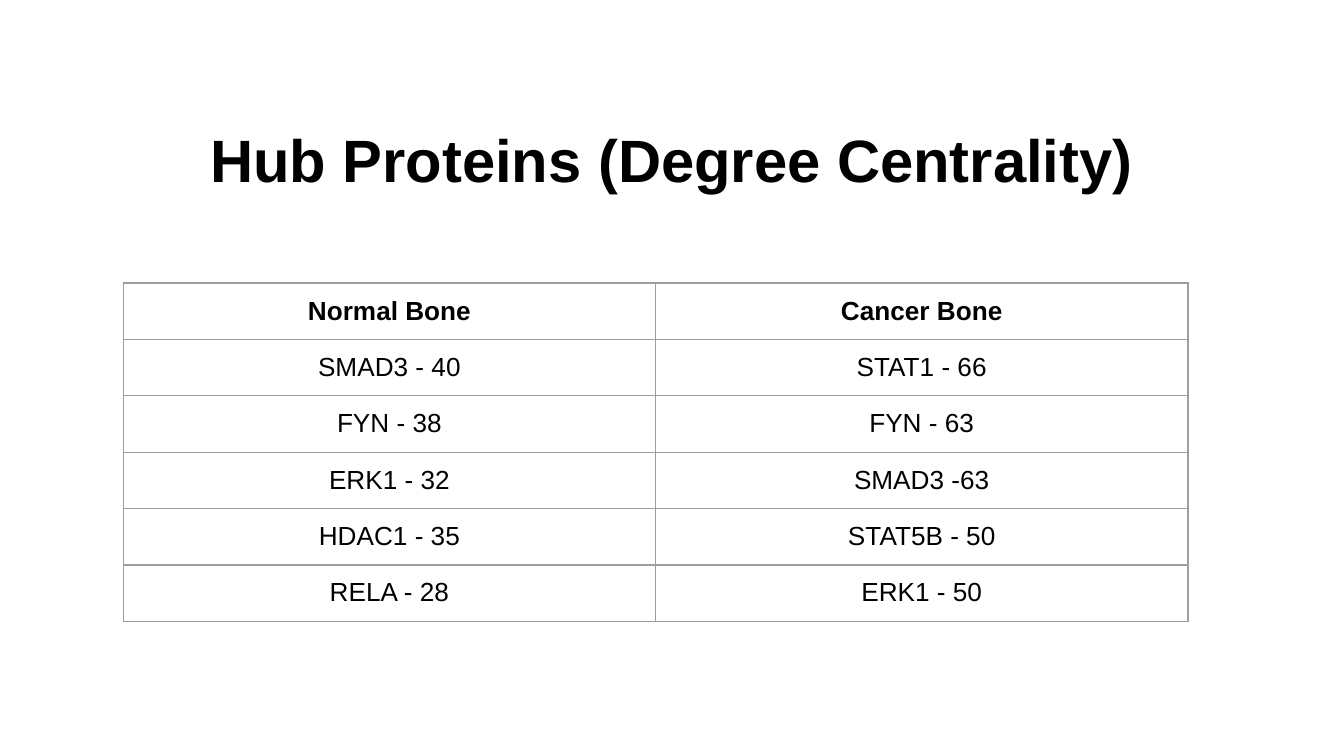
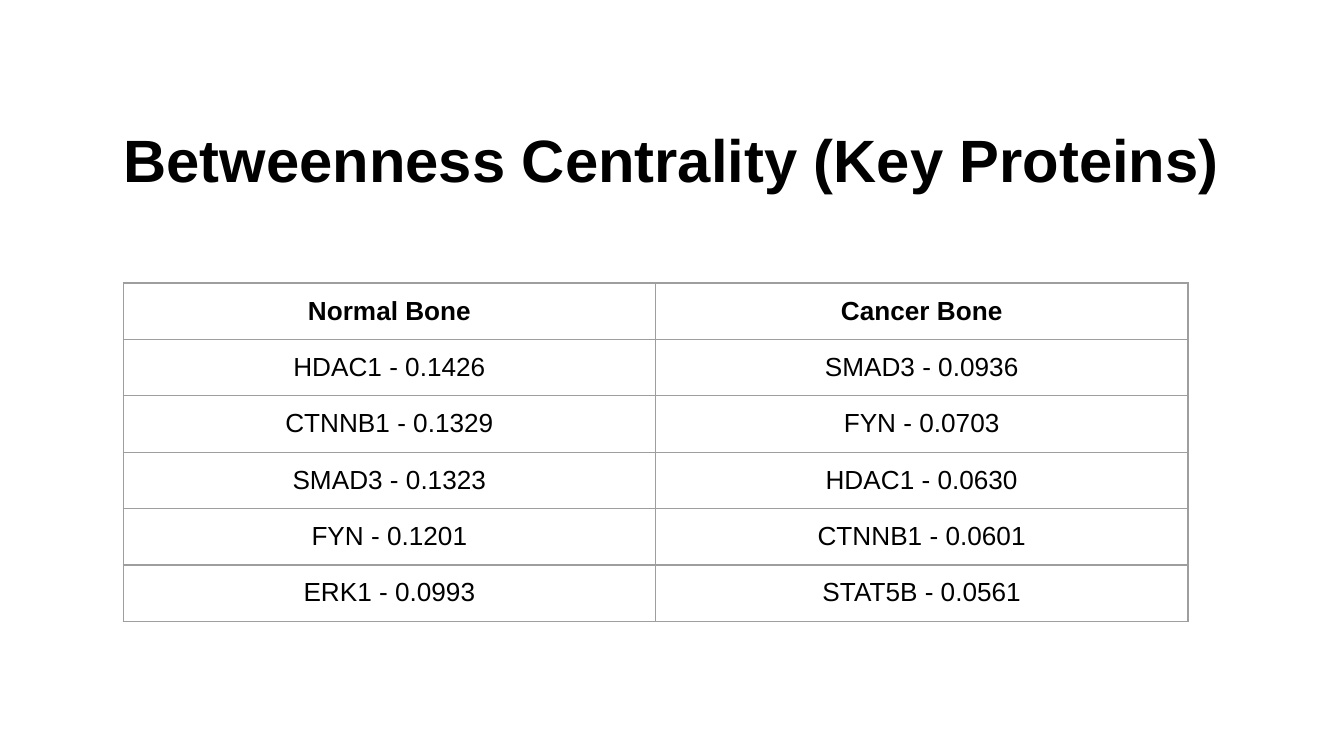
"""Build two slides that compare central proteins in normal and cancer bone."""
import pptx
import pptx.dml.color
import pptx.enum.text
import pptx.util
from lxml import etree
from pptx.oxml.ns import qn

Cm = pptx.util.Cm
Pt = pptx.util.Pt

FONT = "Arial"
INK = "000000"
PAPER = "FFFFFF"
RULE = "9E9E9E"
RULE_WIDTH = Pt(0.75)
TITLE_BOX = (Cm(1.27), Cm(1.88), Cm(22.86), Cm(2.24))
TABLE_BOX = (Cm(2.33), Cm(5.35), Cm(20.12), Cm(6.4))
CELL_MARGIN = Cm(0.25)
HEADINGS = ("Normal Bone", "Cancer Bone")

DEGREE_ROWS = [
    ("SMAD3 - 40", "STAT1 - 66"),
    ("FYN - 38", "FYN - 63"),
    ("ERK1 - 32", "SMAD3 -63"),
    ("HDAC1 - 35", "STAT5B - 50"),
    ("RELA - 28", "ERK1 - 50"),
]
BETWEENNESS_ROWS = [
    ("HDAC1 - 0.1426", "SMAD3 - 0.0936"),
    ("CTNNB1 - 0.1329", "FYN - 0.0703"),
    ("SMAD3 - 0.1323", "HDAC1 - 0.0630"),
    ("FYN - 0.1201", "CTNNB1 - 0.0601"),
    ("ERK1 - 0.0993", "STAT5B - 0.0561"),
]


def color(hex_string):
    """Turn a hex string into a colour."""
    return pptx.dml.color.RGBColor.from_string(hex_string)


def write(frame, text, size, bold):
    """Put one centred line of text in a frame."""
    frame.text = text
    para = frame.paragraphs[0]
    para.alignment = pptx.enum.text.PP_ALIGN.CENTER
    para.font.name = FONT
    para.font.size = Pt(size)
    para.font.bold = bold
    para.font.color.rgb = color(INK)


def add_title(page, box, text):
    """Place the slide title in the given box."""
    title = page.shapes.title
    title.left, title.top, title.width, title.height = box
    write(title.text_frame, text, 32, True)
    title.text_frame.word_wrap = True
    title.text_frame.auto_size = pptx.enum.text.MSO_AUTO_SIZE.NONE
    title.text_frame.vertical_anchor = pptx.enum.text.MSO_ANCHOR.MIDDLE


def add_borders(cell):
    """Draw a thin rule on all four sides of a cell."""
    properties = cell._tc.get_or_add_tcPr()
    for side in ("a:lnL", "a:lnR", "a:lnT", "a:lnB"):
        line = etree.SubElement(properties, qn(side), w=str(RULE_WIDTH))
        fill = etree.SubElement(line, qn("a:solidFill"))
        etree.SubElement(fill, qn("a:srgbClr"), val=RULE)


def format_cell(cell, text, bold):
    """Fill a cell with text, margins, borders and a plain ground."""
    write(cell.text_frame, text, 14, bold)
    cell.margin_left = cell.margin_right = CELL_MARGIN
    cell.margin_top = cell.margin_bottom = CELL_MARGIN
    add_borders(cell)
    cell.fill.background()


def add_protein_table(page, box, rows):
    """Place a headed table with equal rows and columns in the given box."""
    lines = [HEADINGS, *rows]
    table = page.shapes.add_table(len(lines), len(HEADINGS), *box).table
    table.first_row = False
    table.horz_banding = False
    for row_index, line in enumerate(lines):
        for column_index, text in enumerate(line):
            format_cell(table.cell(row_index, column_index), text, row_index == 0)


def add_protein_slide(deck, title, rows):
    """Add a slide with a title above a table of proteins."""
    page = deck.slides.add_slide(deck.slide_layouts.get_by_name("Title Only"))
    page.background.fill.solid()
    page.background.fill.fore_color.rgb = color(PAPER)
    add_title(page, TITLE_BOX, title)
    add_protein_table(page, TABLE_BOX, rows)


def main():
    """Build and save the deck."""
    deck = pptx.Presentation()
    deck.slide_width = Cm(25.4)
    deck.slide_height = Cm(14.29)
    add_protein_slide(deck, "Hub Proteins (Degree Centrality)", DEGREE_ROWS)
    add_protein_slide(deck, "Betweenness Centrality (Key Proteins)", BETWEENNESS_ROWS)
    deck.save("out.pptx")


if __name__ == "__main__":
    main()
